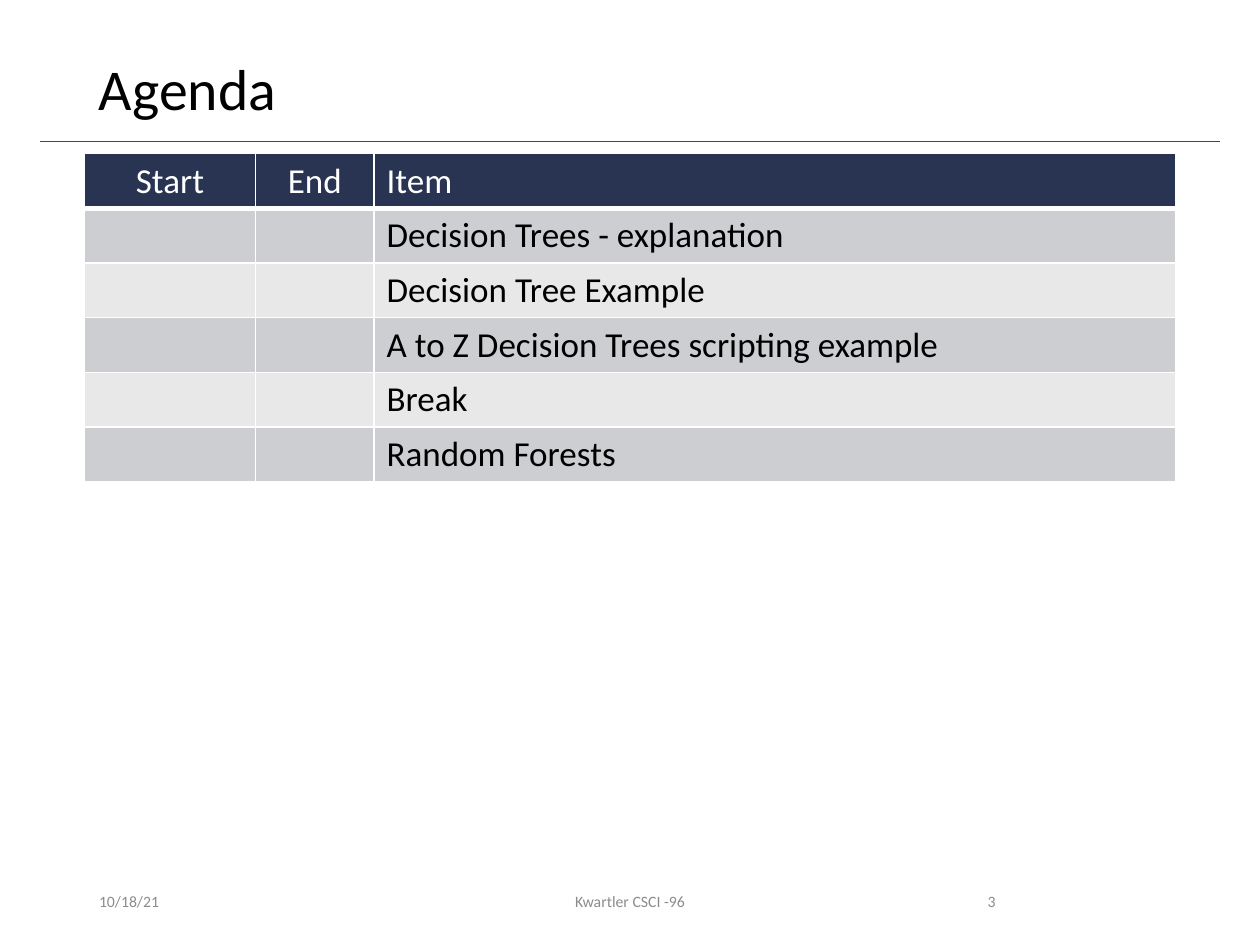
from lxml import etree
from pptx import Presentation
from pptx import util as u
from pptx.dml import color
from pptx.enum import shapes, text
from pptx.oxml import ns

FONT = "Calibri"
COLORS = {
    "rule": "A51C30",
    "title": "000000",
    "body": "000000",
    "header": "293352",
    "header_text": "FFFFFF",
    "border": "FFFFFF",
    "odd_row": "CDCED1",
    "even_row": "E8E8E9",
    "footer": "8C8C8C",
}
LEFT, CENTER, RIGHT = text.PP_ALIGN.LEFT, text.PP_ALIGN.CENTER, text.PP_ALIGN.RIGHT
COLUMNS = [("Start", 97.9, CENTER), ("End", 67.7, CENTER), ("Item", 457.9, LEFT)]
ITEMS = [
    "Decision Trees - explanation",
    "Decision Tree Example",
    "A to Z Decision Trees scripting example",
    "Break",
    "Random Forests",
]
FOOTERS = [
    ("10/18/21", 49.5, 162, LEFT),
    ("Kwartler CSCI -96", 238.5, 243, CENTER),
    ("3", 508.5, 67.5, RIGHT),
]


def rgb(name):
    """Return the named colour."""
    return color.RGBColor.from_string(COLORS[name])


def write(frame, words, size, color_name, align=LEFT):
    """Put one formatted paragraph in a text frame."""
    frame.text = words
    para = frame.paragraphs[0]
    para.alignment = align
    for span in para.runs:
        span.font.name = FONT
        span.font.size = u.Pt(size)
        span.font.bold = False
        span.font.color.rgb = rgb(color_name)
    return para


def add_text(page, words, left, top, width, height, size, color_name, align=LEFT):
    """Add a wrapped, vertically centred text box and return its paragraph."""
    box = page.shapes.add_textbox(u.Pt(left), u.Pt(top), u.Pt(width), u.Pt(height))
    frame = box.text_frame
    frame.word_wrap = True
    frame.vertical_anchor = text.MSO_ANCHOR.MIDDLE
    return write(frame, words, size, color_name, align)


def add_rule(page, left, right, top):
    """Add the thin line below the title."""
    rule = page.shapes.add_connector(
        shapes.MSO_CONNECTOR.STRAIGHT, u.Pt(left), u.Pt(top), u.Pt(right), u.Pt(top)
    )
    rule.line.color.rgb = rgb("rule")
    rule.line.width = u.Pt(0.5)
    etree.SubElement(rule._element.spPr, ns.qn("a:effectLst"))


def set_borders(cell, bottom):
    """Draw the four cell borders, with the given bottom width."""
    properties = cell._tc.get_or_add_tcPr()
    for side, width in (("L", 1), ("R", 1), ("T", 1), ("B", bottom)):
        line = etree.SubElement(properties, ns.qn(f"a:ln{side}"), w=str(u.Pt(width)))
        fill = etree.SubElement(line, ns.qn("a:solidFill"))
        etree.SubElement(fill, ns.qn("a:srgbClr"), val=COLORS["border"])


def add_agenda(page, left, top, row_height):
    """Add the agenda table with its header and banded rows."""
    rows = [[name for name, _, _ in COLUMNS]] + [["", "", item] for item in ITEMS]
    total = sum(width for _, width, _ in COLUMNS)
    frame = page.shapes.add_table(
        len(rows), len(COLUMNS), u.Pt(left), u.Pt(top), u.Pt(total), u.Pt(row_height * len(rows))
    )
    table = frame.table
    for column, (_, width, _) in zip(table.columns, COLUMNS):
        column.width = u.Pt(width)
    for index, words in enumerate(rows):
        header = index == 0
        fill = "header" if header else "odd_row" if index % 2 else "even_row"
        for cell, word, (_, _, align) in zip(table.rows[index].cells, words, COLUMNS):
            set_borders(cell, 3 if header else 1)
            cell.fill.solid()
            cell.fill.fore_color.rgb = rgb(fill)
            write(cell.text_frame, word, 20, "header_text" if header else "body", align)


def main():
    """Build the agenda slide."""
    deck = Presentation()
    deck.slide_width, deck.slide_height = u.Pt(720), u.Pt(540)
    page = deck.slides.add_slide(deck.slide_layouts[6])
    add_rule(page, 23, 697, 80.6)
    title = add_text(page, "Agenda", 49.5, 28.8, 621, 46.8, 33, "title")
    title.line_spacing = 0.9
    add_agenda(page, 48.2, 87.8, 29.5)
    for words, left, width, align in FOOTERS:
        add_text(page, words, left, 500.5, width, 28.8, 9, "footer", align)
    deck.save("out.pptx")


if __name__ == "__main__":
    main()
